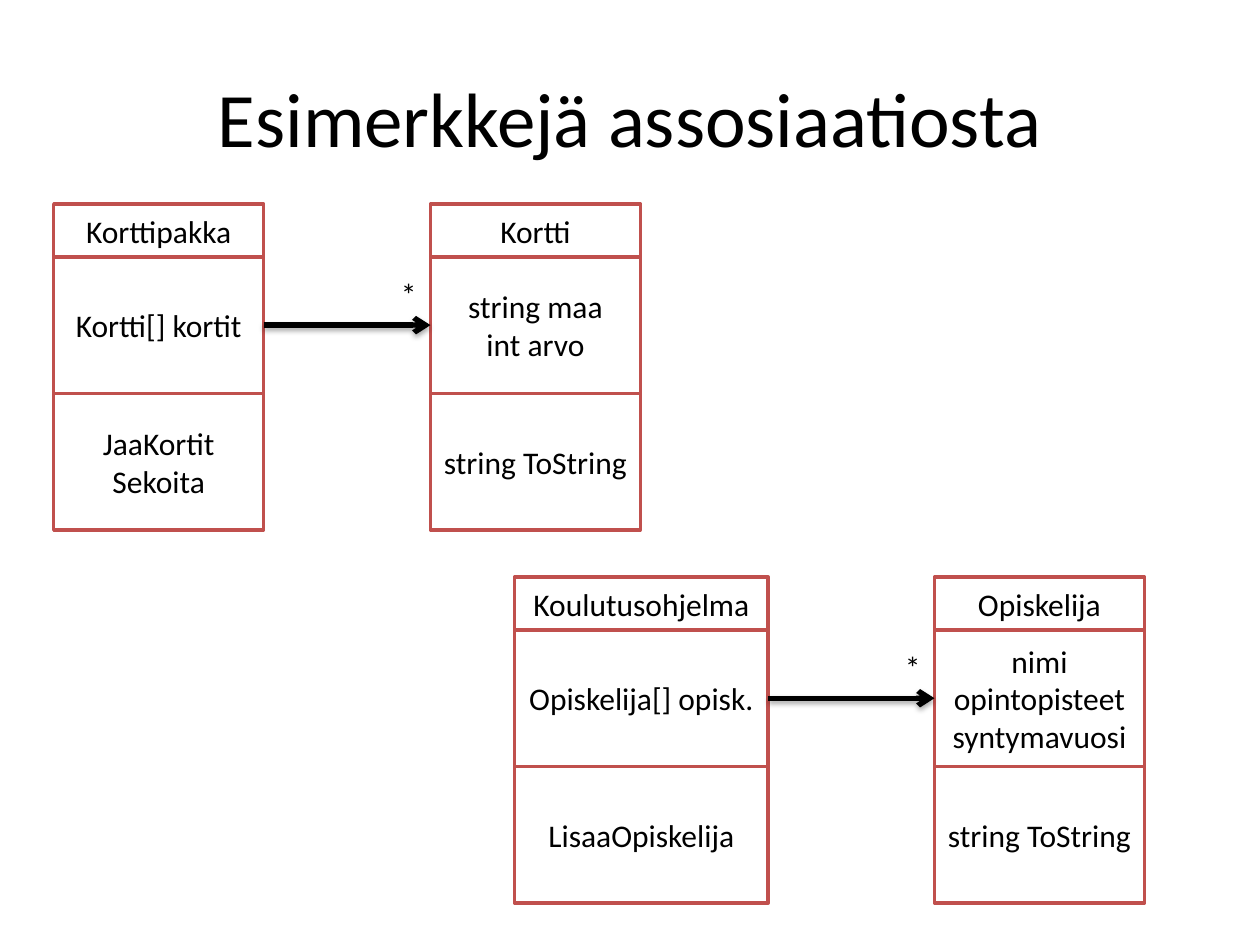
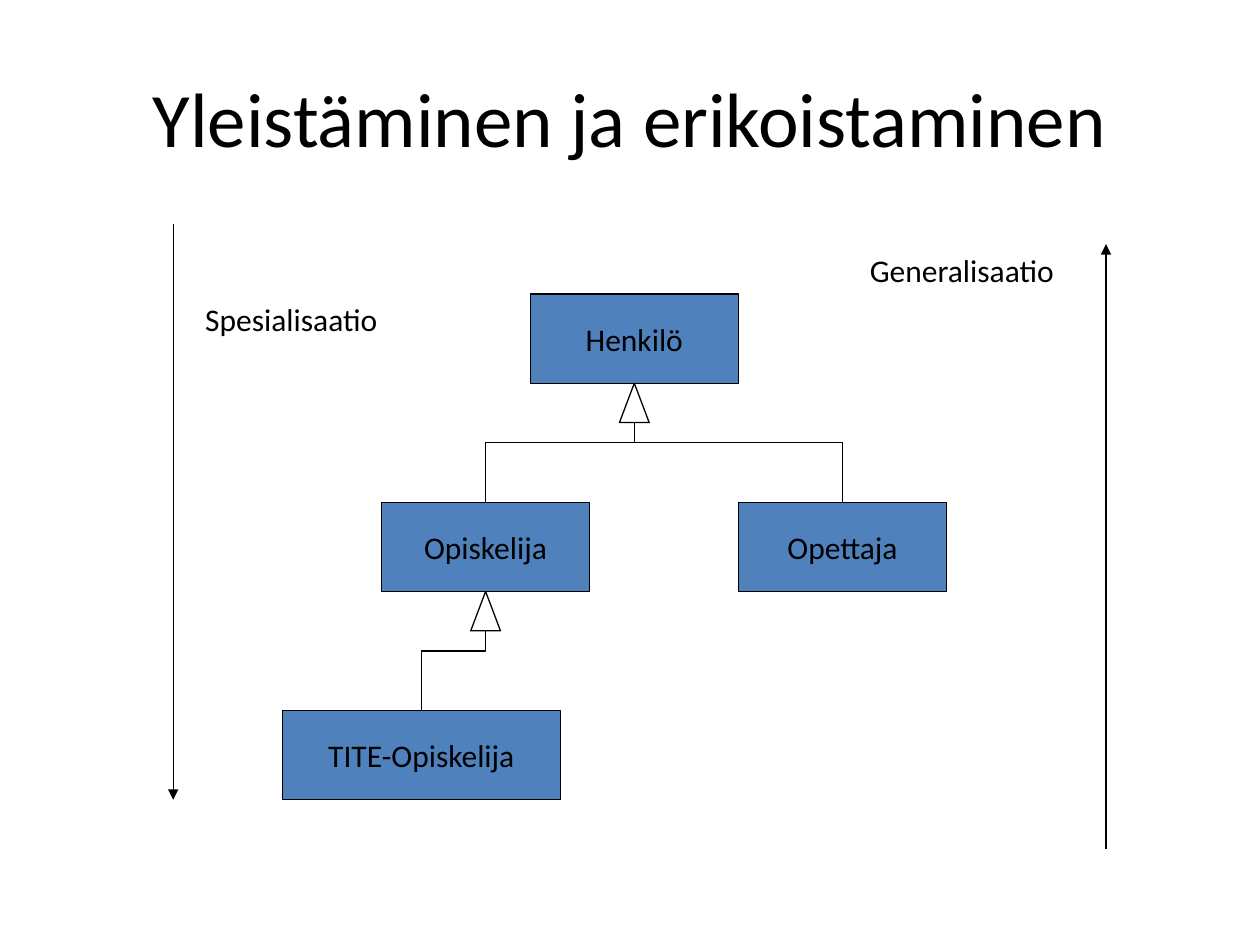
import pptx
import pptx.util
import pptx.dml.color
import pptx.enum.shapes
import pptx.enum.text
import pptx.oxml
import pptx.oxml.ns
from lxml import etree

Pt = pptx.util.Pt
qn = pptx.oxml.ns.qn
Shape = pptx.enum.shapes.MSO_SHAPE
Link = pptx.enum.shapes.MSO_CONNECTOR
Align = pptx.enum.text.PP_ALIGN
Middle = pptx.enum.text.MSO_ANCHOR.MIDDLE

COLORS = {"ink": "000000", "paper": "FFFFFF", "red": "C0504D", "blue": "4F81BD"}
FONT = "Calibri"
HEAD, PART = 30.2, 78       # heights of class name and class parts
WIDE, HIGH = 119, 51        # size of a box in the class tree


def color(name):
    return pptx.dml.color.RGBColor.from_string(COLORS[name])


class Deck:
    def __init__(self):
        self.prs = pptx.Presentation()
        self.prs.slide_width, self.prs.slide_height = Pt(720), Pt(540)
        self.slide = None

    def page(self, title):
        self.slide = self.prs.slides.add_slide(self.prs.slide_layouts[6])
        self.text(36, 21.6, 648, 90, title, 44, True)

    def label(self, shape, text, size=18, center=True, wrap=True):
        frame = shape.text_frame
        frame.word_wrap = wrap
        frame.text = text
        if center:
            frame.vertical_anchor = Middle
        for para in frame.paragraphs:
            para.alignment = Align.CENTER if center else Align.LEFT
            para.font.name, para.font.size = FONT, Pt(size)
            para.font.color.rgb = color("ink")

    def text(self, x, y, w, h, text, size=18, center=False):
        box = self.slide.shapes.add_textbox(Pt(x), Pt(y), Pt(w), Pt(h))
        self.label(box, text, size, center, wrap=center)

    def shape(self, kind, x, y, w, h, fill, edge, width):
        item = self.slide.shapes.add_shape(kind, Pt(x), Pt(y), Pt(w), Pt(h))
        item.shadow.inherit = False
        item.fill.solid()
        item.fill.fore_color.rgb = color(fill)
        item.line.color.rgb = color(edge)
        item.line.width = Pt(width)
        return item

    def line(self, x1, y1, x2, y2, width=0.75, tip=None, shade=False, kind=Link.STRAIGHT):
        item = self.slide.shapes.add_connector(kind, Pt(x1), Pt(y1), Pt(x2), Pt(y2))
        item.line.color.rgb = color("ink")
        item.line.width = Pt(width)
        props = item._element.spPr
        if tip:
            etree.SubElement(props.find(qn("a:ln")), qn("a:tailEnd"), type=tip)
        effect = etree.SubElement(props, qn("a:effectLst"))
        if shade:
            outer = etree.SubElement(effect, qn("a:outerShdw"), blurRad=str(Pt(3.1)),
                                     dist=str(Pt(1.8)), dir="5400000", rotWithShape="0")
            tint = etree.SubElement(outer, qn("a:srgbClr"), val=COLORS["ink"])
            etree.SubElement(tint, qn("a:alpha"), val="35000")
        return item

    def bend(self, x1, y1, x2, y2):
        """Elbow that leaves upward: a sideways elbow turned by a quarter."""
        midx, midy = (x1 + x2) / 2, (y1 + y2) / 2
        side = 1 if x1 > x2 else -1
        dx, dy = side * (y1 - y2) / 2, abs(x1 - x2) / 2
        item = self.line(midx + dx, midy - dy, midx - dx, midy + dy, kind=Link.ELBOW)
        turn = 90 if side > 0 else 270
        item._element.spPr.find(qn("a:xfrm")).set("rot", str(turn * 60000))

    def uml(self, x, y, w, parts):
        for part, h in zip(parts, (HEAD, PART, PART)):
            self.label(self.shape(Shape.RECTANGLE, x, y, w, h, "paper", "red", 2), part)
            y += h

    def many(self, x1, x2, top):
        """Arrow between attribute parts, with a star at its end."""
        y = top + HEAD + PART / 2
        self.line(x1, y, x2, y, 3, "arrow", True)
        self.text(x2 - 24, y - 32.4, 24, 29, "*")

    def node(self, x, y, text, w=WIDE):
        box = self.shape(Shape.RECTANGLE, x, y, w, HIGH, "blue", "ink", 0.75)
        self.label(box, text, wrap=False)

    def tip(self, x, y):
        self.shape(Shape.ISOSCELES_TRIANGLE, x - 8.5, y, 17, 22.5, "paper", "ink", 0.75)


def main():
    deck = Deck()

    # Associations: top, then left, width and parts of both classes
    deck.page("Esimerkkejä assosiaatiosta")
    pairs = [
        (116.6,
         (30.7, 120, ("Korttipakka", "Kortti[] kortit", "JaaKortit\nSekoita")),
         (246, 120, ("Kortti", "string maa\nint arvo", "string ToString"))),
        (329.8,
         (294, 145, ("Koulutusohjelma", "Opiskelija[] opisk.", "LisaaOpiskelija")),
         (534, 120, ("Opiskelija", "nimi\nopintopisteet\nsyntymavuosi", "string ToString"))),
    ]
    for top, owner, owned in pairs:
        for x, w, parts in (owner, owned):
            deck.uml(x, top, w, parts)
        deck.many(owner[0] + owner[1], owned[0], top)

    # Class tree: left, level, width and parent of each class
    deck.page("Yleistäminen ja erikoistaminen")
    tree = {
        "Henkilö": (303, 0, WIDE, None),
        "Opiskelija": (218, 1, WIDE, "Henkilö"),
        "Opettaja": (422, 1, WIDE, "Henkilö"),
        "TITE-Opiskelija": (161.3, 2, 159, "Opiskelija"),
    }
    tops = [168 + 119 * level for level in range(3)]
    mid = {name: x + w / 2 for name, (x, _, w, _) in tree.items()}
    for name, (x, level, w, _) in tree.items():
        deck.node(x, tops[level], name, w)
    for name, (_, level, _, base) in tree.items():
        if base:
            deck.bend(mid[name], tops[level], mid[base], tops[level - 1] + HIGH)
    for base in ("Henkilö", "Opiskelija"):
        deck.tip(mid[base], tops[tree[base][1]] + HIGH)

    # Directions
    deck.line(99, 128, 99, 457, tip="triangle")
    deck.line(632, 485, 632, 139.5, tip="triangle")
    deck.text(490, 139.7, 130, 29, "Generalisaatio")
    deck.text(110.2, 168, 125, 29, "Spesialisaatio")

    deck.prs.save("out.pptx")


if __name__ == "__main__":
    main()
